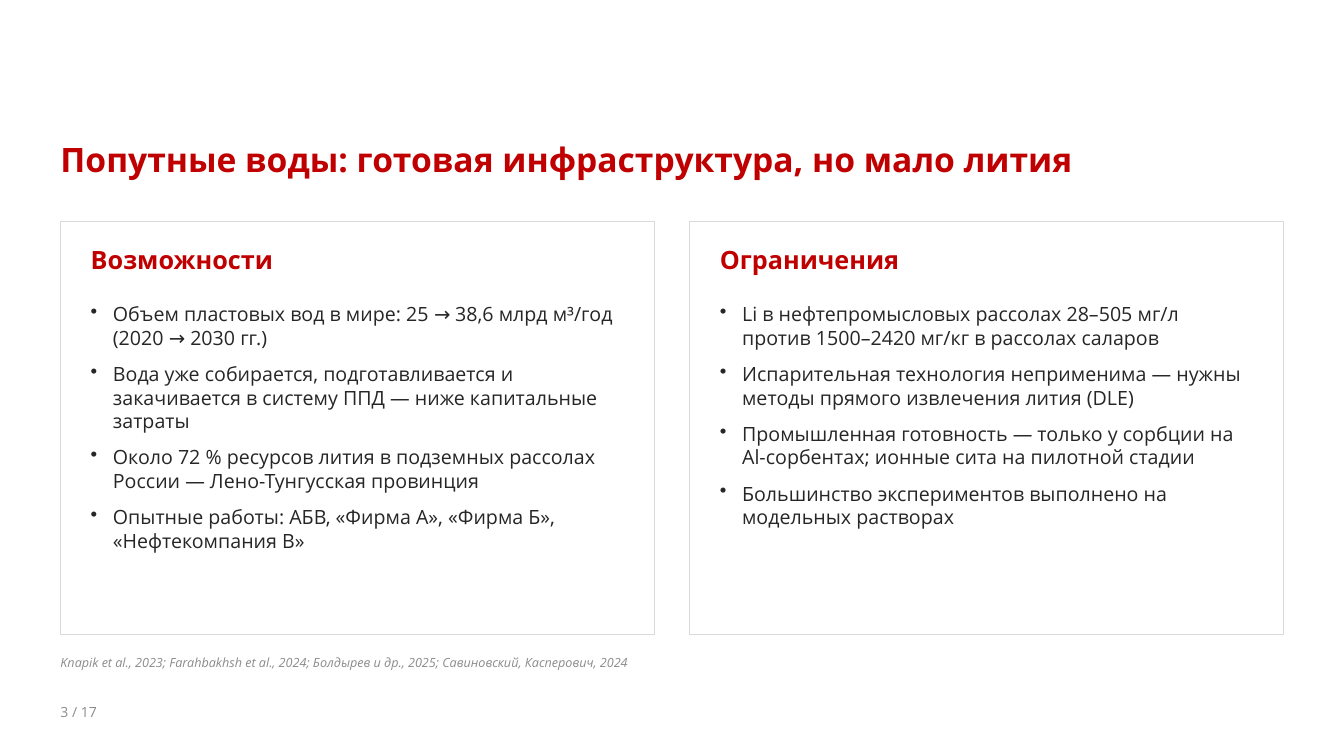
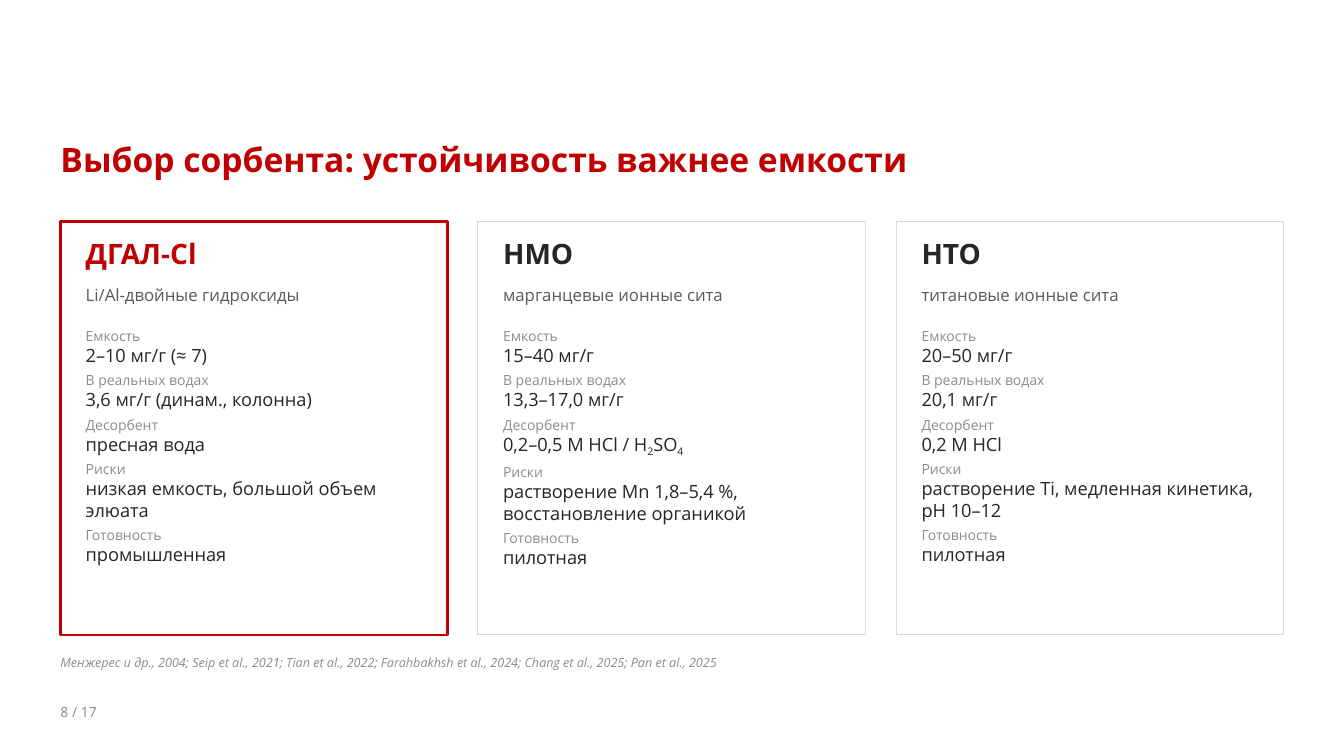
from collections import namedtuple

from lxml.etree import SubElement
from pptx import Presentation
from pptx.dml.color import RGBColor
from pptx.enum.shapes import MSO_SHAPE as Shape
from pptx.enum.text import MSO_ANCHOR as Anchor, MSO_AUTO_SIZE as AutoSize
from pptx.oxml.ns import qn
from pptx.util import Emu, Pt

PX = 9144
FONT = "Open Sans"
RED, DARK, MID, GREY, RULE, WHITE = "C00000", "262626", "595959", "8C8C8C", "D9D9D9", "FFFFFF"
PAGE_COUNT = 17

Box = namedtuple("Box", "left top width height")
Style = namedtuple("Style", "size color bold italic after bullet", defaults=(False, False, 0, False))

PAGE = Box(0, 0, 1333, 750)
BODY = Box(60, 220, 1213, 410)
TITLE = Style(24, RED, bold=True)
SOURCE = Style(9, GREY, italic=True)
NUMBER = Style(10, GREY)
HEADING = Style(18, RED, bold=True)
BULLET = Style(14, DARK, after=9, bullet=True)
SUBTITLE = Style(12, MID)
LABEL = Style(10, GREY)
VALUE = Style(13, DARK, after=4)

PROPERTIES = ["Емкость", "В реальных водах", "Десорбент", "Риски", "Готовность"]

PANELS = [
    ("Возможности", [
        "Объем пластовых вод в мире: 25 → 38,6 млрд м³/год (2020 → 2030 гг.)",
        "Вода уже собирается, подготавливается и закачивается в систему ППД — ниже капитальные затраты",
        "Около 72 % ресурсов лития в подземных рассолах России — Лено-Тунгусская провинция",
        "Опытные работы: АБВ, «Фирма А», «Фирма Б», «Нефтекомпания В»",
    ]),
    ("Ограничения", [
        "Li в нефтепромысловых рассолах 28–505 мг/л против 1500–2420 мг/кг в рассолах саларов",
        "Испарительная технология неприменима — нужны методы прямого извлечения лития (DLE)",
        "Промышленная готовность — только у сорбции на Al-сорбентах; ионные сита на пилотной стадии",
        "Большинство экспериментов выполнено на модельных растворах",
    ]),
]

SORBENTS = [
    ("ДГАЛ-Cl", "Li/Al-двойные гидроксиды", True, [
        "2–10 мг/г (≈ 7)", "3,6 мг/г (динам., колонна)", "пресная вода",
        "низкая емкость, большой объем элюата", "промышленная"]),
    ("HMO", "марганцевые ионные сита", False, [
        "15–40 мг/г", "13,3–17,0 мг/г", "0,2–0,5 М HCl / H_2_SO_4_",
        "растворение Mn 1,8–5,4 %, восстановление органикой", "пилотная"]),
    ("HTO", "титановые ионные сита", False, [
        "20–50 мг/г", "20,1 мг/г", "0,2 М HCl",
        "растворение Ti, медленная кинетика, pH 10–12", "пилотная"]),
]


def rgb(value):
    """Turn a hex string into a colour."""
    return RGBColor.from_string(value)


def emu(box):
    """Turn a box in px into EMU lengths."""
    return [Emu(length * PX) for length in box]


def columns(box, count, gap):
    """Split a box into equal columns."""
    width = (box.width - gap * (count - 1)) / count
    return [Box(round(box.left + index * (width + gap)), box.top, round(width), box.height)
            for index in range(count)]


def inner(box, margin, top, height):
    """Give a strip inside a box, with equal side margins."""
    return Box(box.left + margin, box.top + top, box.width - 2 * margin, height)


def add_bullet(para):
    """Give a paragraph a hanging round bullet."""
    props = para._p.get_or_add_pPr()
    props.set("marL", str(22 * PX))
    props.set("indent", str(-22 * PX))
    SubElement(props, qn("a:buChar")).set("char", "•")


def add_span(para, text, style, lowered):
    """Add one run, lowered when it is a subscript."""
    span = para.add_run()
    span.text = text
    font = span.font
    font.name, font.size = FONT, Pt(style.size)
    font.bold, font.italic = style.bold, style.italic
    font.color.rgb = rgb(style.color)
    if lowered:
        span._r.get_or_add_rPr().set("baseline", "-25000")


def add_text(page, box, lines, grow=False):
    """Add a text box of (text, style) lines; underscores enclose subscripts."""
    frame = page.shapes.add_textbox(*emu(box)).text_frame
    frame.word_wrap = True
    frame.auto_size = AutoSize.SHAPE_TO_FIT_TEXT if grow else AutoSize.NONE
    frame.vertical_anchor = Anchor.TOP
    frame.margin_left = frame.margin_top = frame.margin_right = frame.margin_bottom = 0
    for index, (text, style) in enumerate(lines):
        para = frame.add_paragraph() if index else frame.paragraphs[0]
        para.space_after = Pt(style.after)
        if style.bullet:
            add_bullet(para)
        for part, piece in enumerate(text.split("_")):
            if piece:
                add_span(para, piece, style, part % 2 == 1)


def add_card(page, box, color=RULE, weight=0.75):
    """Add a white outlined card."""
    card = page.shapes.add_shape(Shape.RECTANGLE, *emu(box))
    card.shadow.inherit = False
    card.fill.solid()
    card.fill.fore_color.rgb = rgb(WHITE)
    card.line.color.rgb = rgb(color)
    card.line.width = Pt(weight)


def add_page(deck, title, number, source):
    """Add a page with its title, page number and source line."""
    page = deck.slides.add_slide(deck.slide_layouts[6])
    page.background.fill.solid()
    page.background.fill.fore_color.rgb = rgb(WHITE)
    add_text(page, Box(BODY.left, 138, BODY.width, 70), [(title, TITLE)])
    add_text(page, Box(BODY.left, 698, 150, 25), [(f"{number} / {PAGE_COUNT}", NUMBER)])
    add_text(page, Box(BODY.left, 650, 990, 40), [(source, SOURCE)])
    return page


def add_panel(page, box, heading, points):
    """Add a card with a heading and bullet points."""
    add_card(page, box)
    add_text(page, inner(box, 30, 22, 35), [(heading, HEADING)])
    add_text(page, inner(box, 30, 80, 310), [(point, BULLET) for point in points])


def add_sorbent(page, box, name, subtitle, chosen, values):
    """Add a card with the properties of one sorbent."""
    if chosen:
        add_card(page, box, RED, 1.75)
    else:
        add_card(page, box)
    add_text(page, inner(box, 25, 15, 45), [(name, Style(20, RED if chosen else DARK, bold=True))])
    add_text(page, inner(box, 25, 62, 30), [(subtitle, SUBTITLE)])
    lines = [line for label, value in zip(PROPERTIES, values)
             for line in ((label, LABEL), (value, VALUE))]
    add_text(page, inner(box, 25, 105, 290), lines, grow=True)


def main():
    """Build and save the deck."""
    deck = Presentation()
    deck.slide_width, deck.slide_height = emu(PAGE)[2:]

    page = add_page(
        deck, "Попутные воды: готовая инфраструктура, но мало лития", 3,
        "Knapik et al., 2023; Farahbakhsh et al., 2024; Болдырев и др., 2025; Савиновский, Касперович, 2024")
    for box, panel in zip(columns(BODY, len(PANELS), 35), PANELS):
        add_panel(page, box, *panel)

    page = add_page(
        deck, "Выбор сорбента: устойчивость важнее емкости", 8,
        "Менжерес и др., 2004; Seip et al., 2021; Tian et al., 2022; Farahbakhsh et al., 2024; "
        "Chang et al., 2025; Pan et al., 2025")
    for box, sorbent in zip(columns(BODY, len(SORBENTS), 30), SORBENTS):
        add_sorbent(page, box, *sorbent)

    deck.save("out.pptx")


if __name__ == "__main__":
    main()
